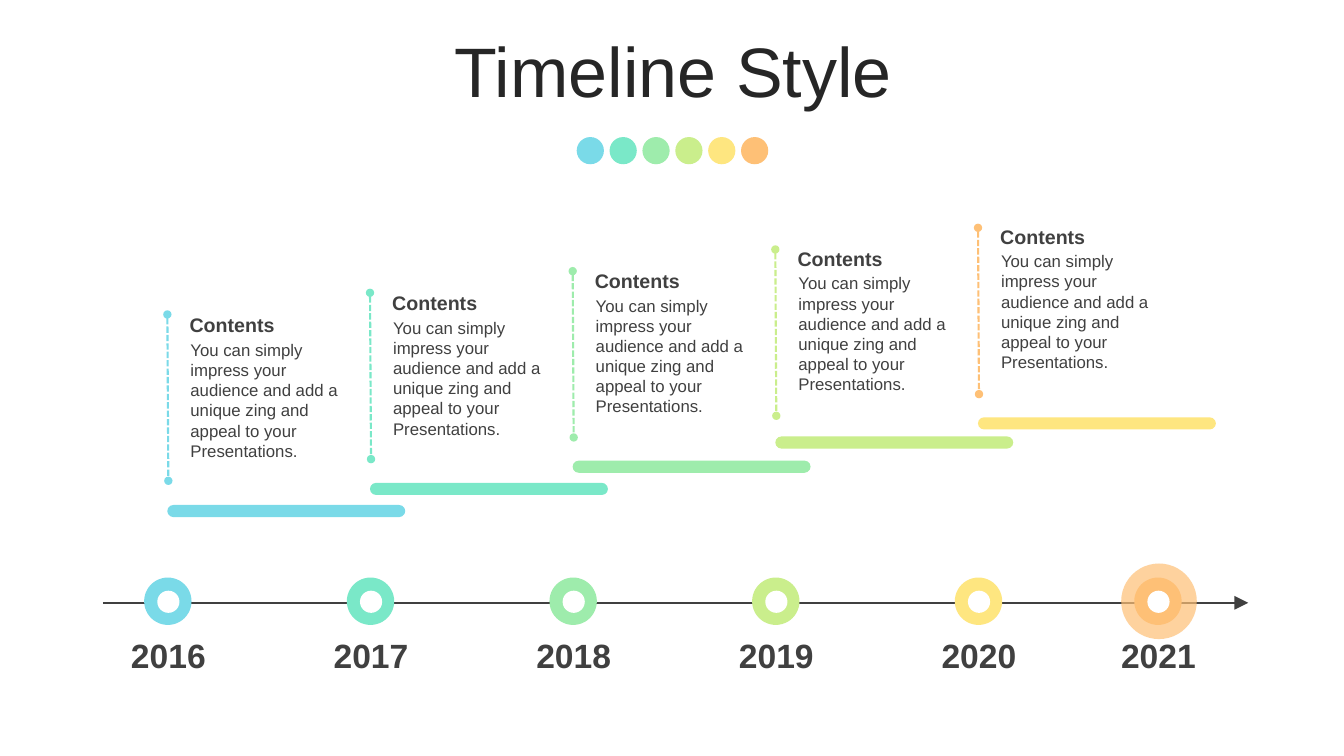
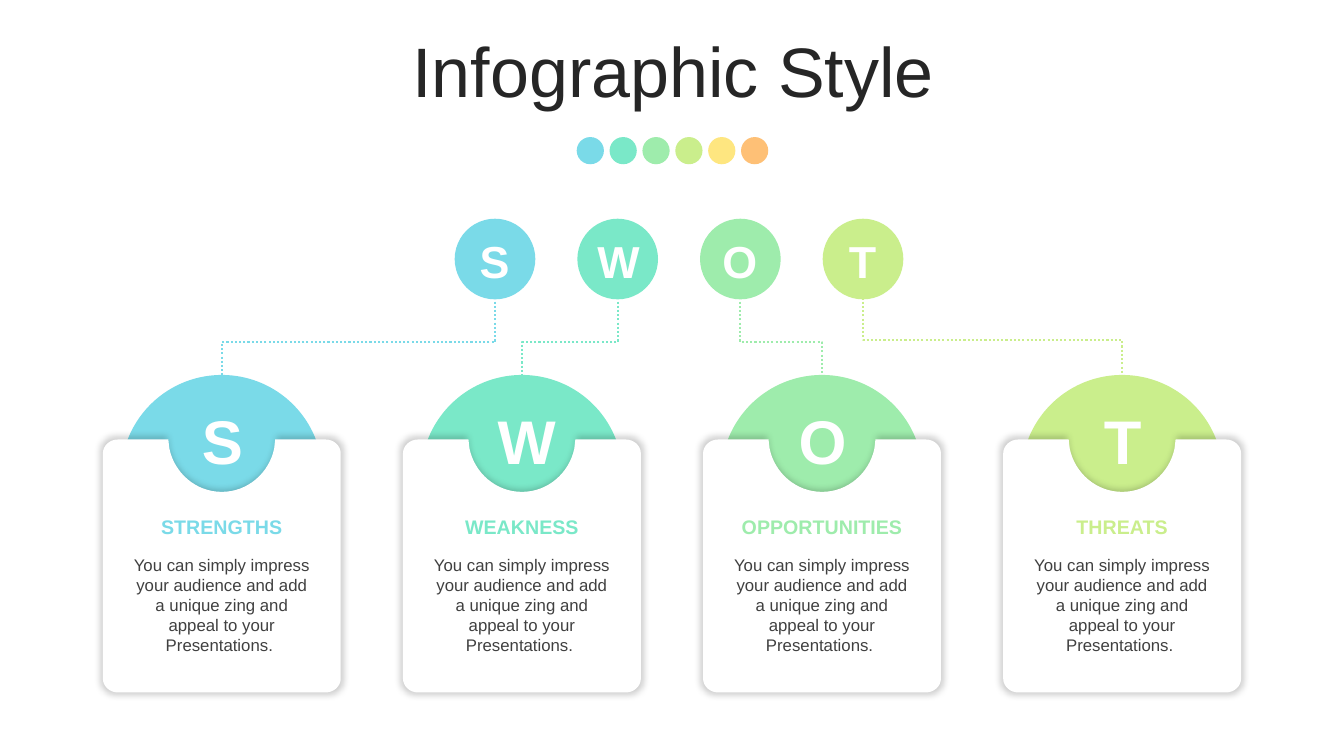
"""Builds a timeline slide and a SWOT infographic slide in a pastel palette."""
from lxml.etree import SubElement
from pptx import Presentation
from pptx.dml.color import RGBColor
from pptx.enum.dml import MSO_LINE
from pptx.enum.shapes import MSO_CONNECTOR, MSO_SHAPE
from pptx.enum.text import MSO_ANCHOR, PP_ALIGN
from pptx.oxml.ns import qn
from pptx.util import Inches, Pt

BLUE = RGBColor(0x7A, 0xDA, 0xE8)
TEAL = RGBColor(0x7A, 0xE8, 0xC8)
GREEN = RGBColor(0x9E, 0xEC, 0xAC)
LIME = RGBColor(0xCA, 0xEE, 0x8C)
YELLOW = RGBColor(0xFE, 0xE6, 0x80)
ORANGE = RGBColor(0xFE, 0xC0, 0x76)
DARK = RGBColor(0x26, 0x26, 0x26)
GRAY = RGBColor(0x40, 0x40, 0x40)
WHITE = RGBColor(0xFF, 0xFF, 0xFF)
PALETTE = [BLUE, TEAL, GREEN, LIME, YELLOW, ORANGE]
FONT = "Arial"
BODY = ("You can simply impress your audience and add a unique zing "
        "and appeal to your Presentations.")
CARD_START = (-1.03, 4.36)
CARD_SEGMENTS = [
    [(-0.53, 4.36)],
    [(-0.52, 4.45)],
    [(-0.47, 4.69), (-0.26, 4.88), (0, 4.88)],
    [(0.26, 4.88), (0.47, 4.69), (0.52, 4.45)],
    [(0.53, 4.36)],
    [(1.03, 4.36)],
    [(1.11, 4.36), (1.18, 4.42), (1.18, 4.5)],
    [(1.18, 6.73)],
    [(1.18, 6.81), (1.11, 6.87), (1.03, 6.87)],
    [(-1.03, 6.87)],
    [(-1.11, 6.87), (-1.18, 6.81), (-1.18, 6.73)],
    [(-1.18, 4.5)],
    [(-1.18, 4.42), (-1.11, 4.36), (-1.03, 4.36)],
]


def add_text(s, text, x, y, w, h, size=12, color=GRAY, bold=False,
             align=PP_ALIGN.LEFT, anchor=MSO_ANCHOR.TOP,
             inset=(0.1, 0.05), spacing=None):
    tf = s.shapes.add_textbox(Inches(x), Inches(y), Inches(w), Inches(h)).text_frame
    tf.word_wrap = True
    tf.vertical_anchor = anchor
    tf.margin_left = tf.margin_right = Inches(inset[0])
    tf.margin_top = tf.margin_bottom = Inches(inset[1])
    p = tf.paragraphs[0]
    p.alignment = align
    p.line_spacing = spacing
    r = p.add_run()
    r.text = text
    r.font.name = FONT
    r.font.size = Pt(size)
    r.font.bold = bold
    r.font.color.rgb = color


def add_solid(s, kind, x, y, w, h, color):
    sp = s.shapes.add_shape(kind, Inches(x), Inches(y), Inches(w), Inches(h))
    sp.shadow.inherit = False
    sp.fill.solid()
    sp.fill.fore_color.rgb = color
    sp.line.fill.background()
    return sp


prs = Presentation()
prs.slide_width = Inches(13.33)
prs.slide_height = Inches(7.5)

slides = []
for title in ["Timeline Style", "Infographic Style"]:
    s = prs.slides.add_slide(prs.slide_layouts[6])
    for i, color in enumerate(PALETTE):
        add_solid(s, MSO_SHAPE.OVAL, 5.72 + 1.63 * i / 5, 1.36, 0.27, 0.27, color)
    add_text(s, title, 0.35, 0.37, 12.66, 0.79, size=50, color=DARK,
             align=PP_ALIGN.CENTER, anchor=MSO_ANCHOR.MIDDLE, spacing=0.8)
    slides.append(s)
timeline, swot = slides

step_xs = [1.66 + 2.01 * i for i in range(5)]
card_xs = [2.2 + 8.93 * i / 3 for i in range(4)]
badge_xs = [4.91 + 3.65 * i / 3 for i in range(4)]

lines = [(timeline, 1.02, 5.98, 12.38, 5.98, GRAY, 1.75, None, "none", "triangle", "lg")]
for i, (x, color) in enumerate(zip(step_xs, [BLUE, TEAL, GREEN, LIME, ORANGE])):
    y = 3.12 - 0.86 * i / 4
    lines.append((timeline, x, y, x + 0.01, y + 1.65, color, 1.5,
                  MSO_LINE.SQUARE_DOT, "oval", "oval", "med"))
for x1, y1, x2, color in zip(badge_xs, [2.95, 2.95, 2.95, 2.91], card_xs, PALETTE):
    lines.append((swot, x1, y1, x2, 3.84, color, 1.5,
                  MSO_LINE.ROUND_DOT, "none", "triangle", "med"))

for s, x1, y1, x2, y2, color, width, dash, head, tail, tip in lines:
    kind, angle = MSO_CONNECTOR.STRAIGHT, 0
    if s is swot:
        kind, angle = MSO_CONNECTOR.ELBOW, 90 if x2 < x1 else 270
        cx, cy = (x1 + x2) / 2, (y1 + y2) / 2
        half_w, half_h = (y2 - y1) / 2, abs(x2 - x1) / 2
        if angle == 270:
            half_w = -half_w
        x1, y1, x2, y2 = cx - half_w, cy - half_h, cx + half_w, cy + half_h
    c = s.shapes.add_connector(kind, Inches(x1), Inches(y1), Inches(x2), Inches(y2))
    c.line.color.rgb = color
    c.line.width = Pt(width)
    c.line.dash_style = dash
    props = c.element.spPr
    if angle:
        props.find(qn("a:xfrm")).set("rot", str(angle * 60000))
    ln = props.find(qn("a:ln"))
    SubElement(ln, qn("a:headEnd"), type=head)
    SubElement(ln, qn("a:tailEnd"), type=tail, w=tip, len=tip)
    SubElement(props, qn("a:effectLst"))

halo = add_solid(timeline, MSO_SHAPE.OVAL, 11.12, 5.59, 0.75, 0.75, ORANGE)
SubElement(next(halo.element.spPr.iter(qn("a:srgbClr"))), qn("a:alpha"), val="70000")

for i, (x, color) in enumerate(zip(step_xs + [11.48], PALETTE)):
    add_solid(timeline, MSO_SHAPE.OVAL, x - 0.23, 5.73, 0.47, 0.47, color)
    add_solid(timeline, MSO_SHAPE.OVAL, x - 0.1, 5.86, 0.22, 0.22, WHITE)
    add_text(timeline, str(2016 + i), x - 0.59, 6.3, 1.2, 0.4, size=24, bold=True,
             align=PP_ALIGN.CENTER, inset=(0, 0))

for i, (x, y) in enumerate(zip(step_xs, [5.01, 4.79, 4.57, 4.33, 4.14])):
    bar = add_solid(timeline, MSO_SHAPE.ROUNDED_RECTANGLE, x, y, 2.36, 0.12, PALETTE[i])
    bar.adjustments[0] = 0.5
    rise = 0.22 * i
    add_text(timeline, BODY, x + 0.13, 3.32 - rise, 1.72, 1.31)
    add_text(timeline, "Contents", x + 0.1, 3.06 - rise, 1.73, 0.34, size=14,
             bold=True, inset=(0.12, 0.05))

headings = ["STRENGTHS", "WEAKNESS", "OPPORTUNITIES", "THREATS"]
for heading, badge_x, x, color in zip(headings, badge_xs, card_xs, PALETTE):
    letter = heading[0]
    add_solid(swot, MSO_SHAPE.OVAL, badge_x - 0.4, 2.17, 0.8, 0.8, color)
    add_text(swot, letter, badge_x - 0.3, 2.27, 0.59, 0.64, size=32, color=WHITE,
             bold=True, align=PP_ALIGN.CENTER)
    add_solid(swot, MSO_SHAPE.OVAL, x - 1, 3.72, 2, 2, color)

    points = [(Inches(x + dx), Inches(y))
              for dx, y in [CARD_START] + sum(CARD_SEGMENTS, [])]
    builder = swot.shapes.build_freeform(*points[0])
    builder.add_line_segments(points[1:], close=True)
    card = builder.convert_to_shape()
    card.shadow.inherit = False
    card.fill.solid()
    card.fill.fore_color.rgb = WHITE
    card.line.fill.background()

    steps = iter(list(card.element.spPr.iter(qn("a:lnTo"))))
    for segment in CARD_SEGMENTS:
        parts = [next(steps) for _ in segment]
        if len(parts) == 3:
            outline = parts[0].getparent()
            curve = SubElement(outline, qn("a:cubicBezTo"))
            outline.replace(parts[0], curve)
            for part in parts:
                curve.append(part[0])
            for part in parts[1:]:
                outline.remove(part)

    shadow = SubElement(card.element.spPr.find(qn("a:effectLst")), qn("a:outerShdw"),
                        blurRad=str(Pt(5)), dist="0", dir="0", sx="102000", sy="102000",
                        algn="ctr", rotWithShape="0")
    black = SubElement(shadow, qn("a:srgbClr"), val="000000")
    SubElement(black, qn("a:alpha"), val="20000")

    add_text(swot, letter, x - 0.34, 3.95, 0.69, 0.84, size=44, color=WHITE, bold=True,
             align=PP_ALIGN.CENTER)
    add_text(swot, BODY + " ", x - 0.98, 5.45, 1.96, 1.11, align=PP_ALIGN.CENTER)
    add_text(swot, heading, x - 0.98, 5.06, 1.96, 0.34, size=14, color=color, bold=True,
             align=PP_ALIGN.CENTER)

prs.save("out.pptx")
